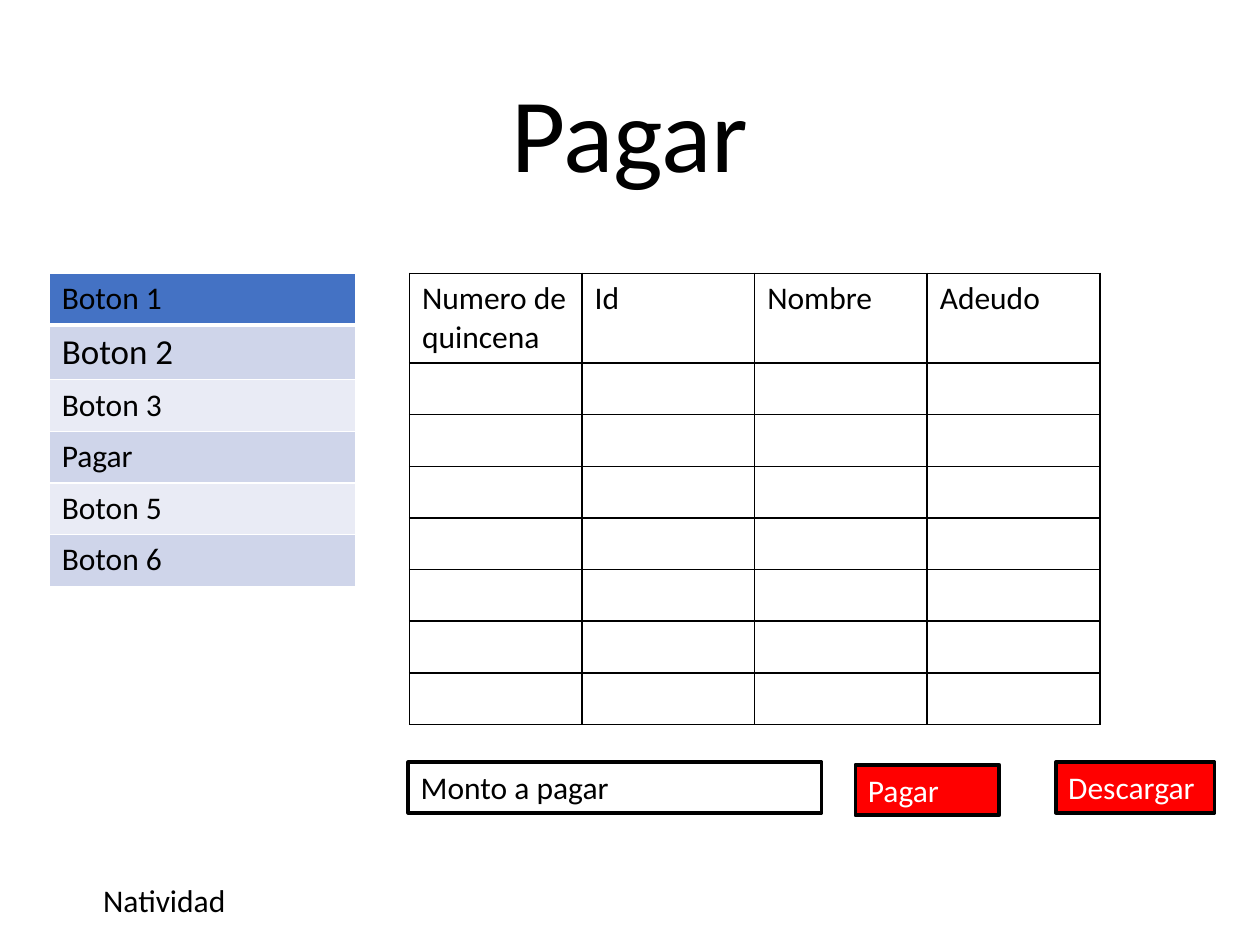
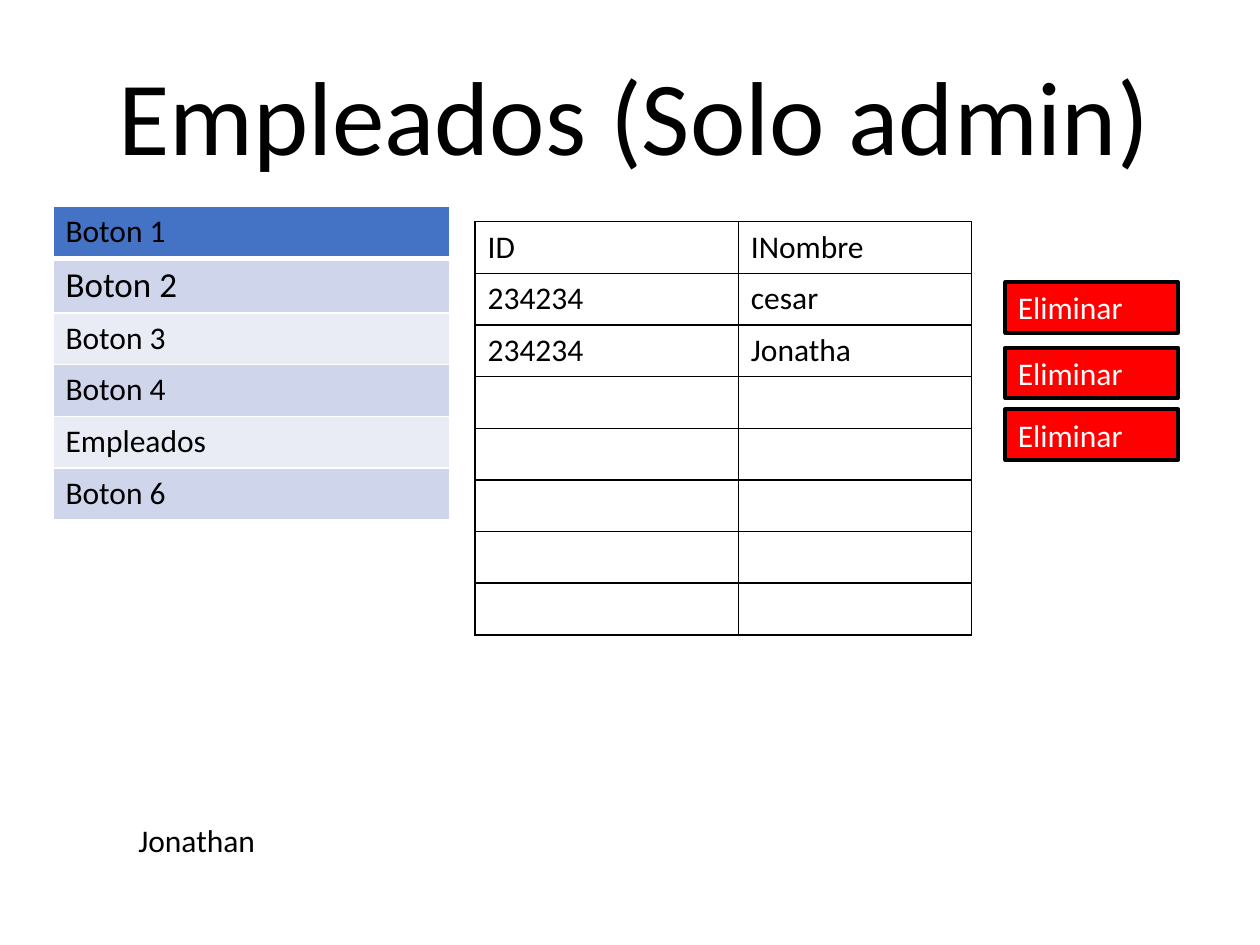
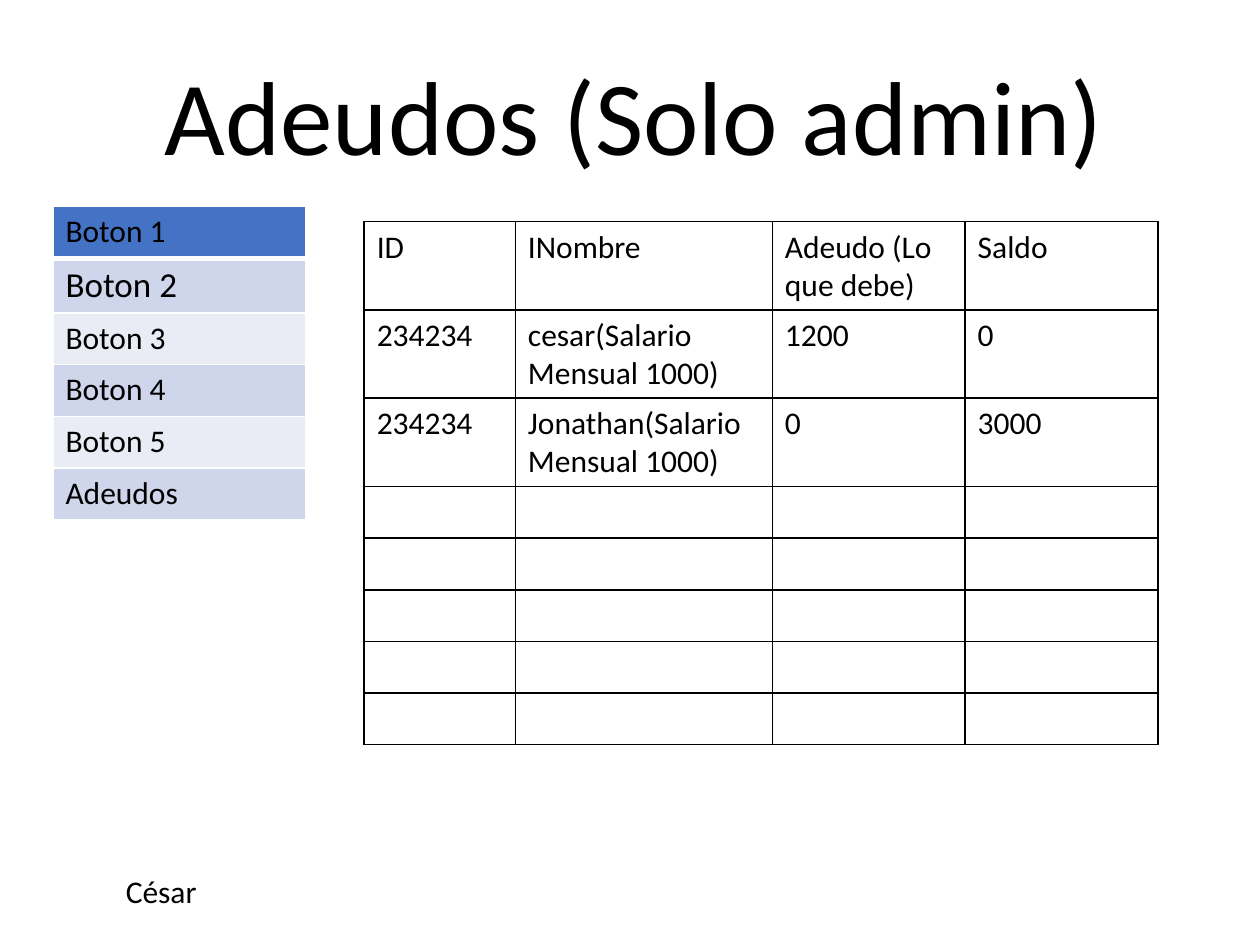
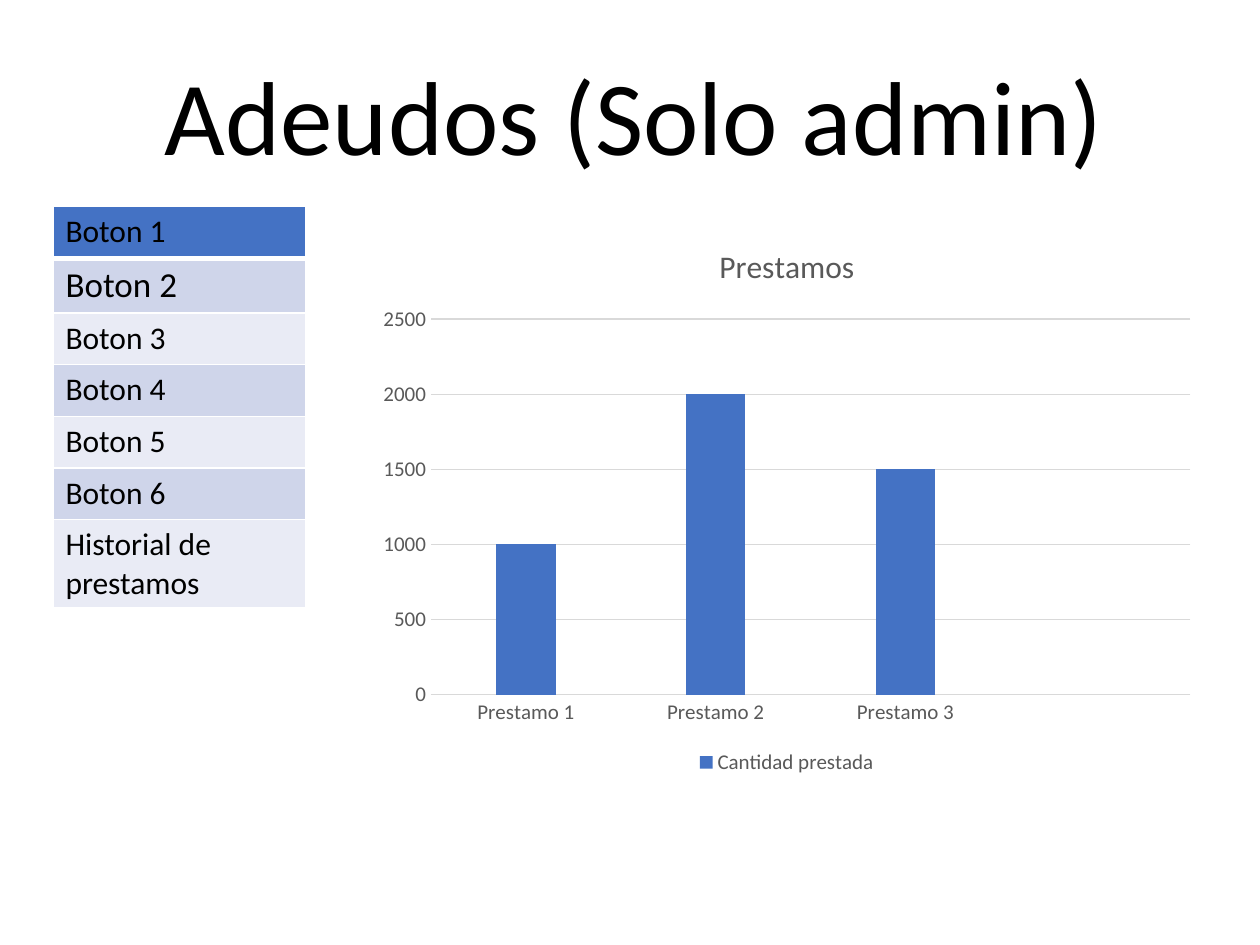
from dataclasses import dataclass

from lxml import etree
from pptx import Presentation
from pptx.chart.data import CategoryChartData
from pptx.dml.color import RGBColor
from pptx.enum import chart as ch, shapes, text
from pptx.oxml.ns import qn
from pptx.util import Inches, Pt

# Shared style
FONT = "Calibri"
BLACK = RGBColor(0, 0, 0)
WHITE = RGBColor(255, 255, 255)
RED = RGBColor(255, 0, 0)
BLUE = RGBColor(0x44, 0x72, 0xC4)
BANDS = (RGBColor(0xE9, 0xEB, 0xF5), RGBColor(0xCF, 0xD5, 0xEA))
GREY = RGBColor(0x59, 0x59, 0x59)
PALE = RGBColor(0xD9, 0xD9, 0xD9)
ROW = 0.41
BOX = 0.4


@dataclass
class Area:
    x: float
    y: float
    w: float
    h: float = BOX

    def emu(self) -> tuple:
        return tuple(Inches(v) for v in (self.x, self.y, self.w, self.h))


@dataclass
class Button:
    label: str
    area: Area
    fill: RGBColor | None = RED
    ink: RGBColor = WHITE


@dataclass
class Grid:
    x: float
    y: float
    cols: list[float]
    rows: list[list[str]]


HEAD = Area(0.72, 0.4, 8.62, 1.06)


def style(font, size: float, color: RGBColor) -> None:
    font.name, font.size = FONT, Pt(size)
    font.color.rgb = color


def write(frame, words: str, size: float = 18, color: RGBColor = BLACK) -> None:
    frame.text = words
    for part in frame.paragraphs:
        for run in part.runs:
            style(run.font, size, color)


def edge(cell, side: str, color: RGBColor, width: float) -> None:
    line = etree.SubElement(cell._tc.get_or_add_tcPr(), qn(f"a:ln{side}"),
                            w=str(Pt(width)))
    fill = etree.SubElement(line, qn("a:solidFill"))
    etree.SubElement(fill, qn("a:srgbClr"), val=str(color))


def add_title(slide, words: str, area: Area = HEAD) -> None:
    frame = slide.shapes.add_textbox(*area.emu()).text_frame
    frame.word_wrap = True
    frame.vertical_anchor = text.MSO_ANCHOR.BOTTOM
    write(frame, words, 60)
    frame.paragraphs[0].alignment = text.PP_ALIGN.CENTER
    frame.paragraphs[0].line_spacing = 0.9


def add_label(slide, words: str, area: Area) -> None:
    frame = slide.shapes.add_textbox(*area.emu()).text_frame
    frame.word_wrap = False
    frame.auto_size = text.MSO_AUTO_SIZE.SHAPE_TO_FIT_TEXT
    write(frame, words)


def add_button(slide, item: Button) -> None:
    box = slide.shapes.add_shape(shapes.MSO_SHAPE.RECTANGLE, *item.area.emu())
    box.shadow.inherit = False
    if item.fill is None:
        box.fill.background()
    else:
        box.fill.solid()
        box.fill.fore_color.rgb = item.fill
    box.line.color.rgb, box.line.width = BLACK, Pt(2.25)
    frame = box.text_frame
    frame.word_wrap = True
    frame.vertical_anchor = text.MSO_ANCHOR.TOP
    frame.auto_size = text.MSO_AUTO_SIZE.SHAPE_TO_FIT_TEXT
    write(frame, item.label, color=item.ink)
    frame.paragraphs[0].alignment = text.PP_ALIGN.LEFT


def new_table(slide, grid: Grid):
    count = len(grid.rows)
    area = Area(grid.x, grid.y, sum(grid.cols), ROW * count)
    table = slide.shapes.add_table(count, len(grid.cols), *area.emu()).table
    table.first_row = table.horz_banding = False
    for col, width in zip(table.columns, grid.cols):
        col.width = Inches(width)
    for row in table.rows:
        row.height = Inches(ROW)
    return table


def add_grid(slide, grid: Grid) -> None:
    table = new_table(slide, grid)
    for r, row in enumerate(grid.rows):
        for c, words in enumerate(row):
            cell = table.cell(r, c)
            for side in "LRTB":
                edge(cell, side, BLACK, 1)
            cell.fill.background()
            write(cell.text_frame, words)


def add_menu(slide, x: float, y: float, width: float, names: list[str]) -> None:
    table = new_table(slide, Grid(x, y, [width], [[name] for name in names]))
    for r, name in enumerate(names):
        cell = table.cell(r, 0)
        for side in "LRTB":
            thick = (r, side) in ((0, "B"), (1, "T"))
            edge(cell, side, WHITE, 3 if thick else 1)
        cell.fill.solid()
        cell.fill.fore_color.rgb = BANDS[r % 2] if r else BLUE
        write(cell.text_frame, name, 20 if r == 1 else 18)


def menu(swap: dict[int, str]) -> list[str]:
    """Button names, with the named page in its own place."""
    last = max(6, *swap)
    return [swap.get(n, f"Boton {n}") for n in range(1, last + 1)]


def blank(cols: int, count: int) -> list[list[str]]:
    return [[""] * cols for _ in range(count)]


def add_loans(slide, area: Area) -> None:
    data = CategoryChartData()
    data.categories = ["Prestamo 1", "Prestamo 2", "Prestamo 3", ""]
    data.add_series("Cantidad prestada", [1000, 2000, 1500, None])
    chart = slide.shapes.add_chart(
        ch.XL_CHART_TYPE.COLUMN_CLUSTERED, *area.emu(), data).chart
    style(chart.font, 10, BLACK)
    chart.has_title = True
    write(chart.chart_title.text_frame, "Prestamos", 18, GREY)
    chart.chart_title.text_frame.paragraphs[0].runs[0].font.bold = False
    chart.chart_title.include_in_layout = False
    chart.has_legend = True
    chart.legend.position = ch.XL_LEGEND_POSITION.BOTTOM
    chart.legend.include_in_layout = False
    style(chart.legend.font, 12, GREY)

    # Bars
    plot = chart.plots[0]
    plot.vary_by_categories = False
    plot.gap_width, plot.overlap = 219, -27
    bars = plot.series[0].format.fill
    bars.solid()
    bars.fore_color.rgb = BLUE

    # Axes
    cat, val = chart.category_axis, chart.value_axis
    for axis in (cat, val):
        axis.major_tick_mark = axis.minor_tick_mark = ch.XL_TICK_MARK.NONE
        style(axis.tick_labels.font, 12, GREY)
    val.minimum_scale, val.maximum_scale, val.major_unit = 0, 2500, 500
    val.format.line.fill.background()
    val.has_major_gridlines = True
    for line in (cat.format.line, val.major_gridlines.format.line):
        line.color.rgb, line.width = PALE, Pt(0.75)


deck = Presentation()
deck.slide_width, deck.slide_height = Inches(10), Inches(7.5)
pay, staff, debts, loans = (
    deck.slides.add_slide(deck.slide_layouts[6]) for _ in range(4))

# Payments
add_grid(pay, Grid(3.25, 2.17, [1.37] * 4, [
    ["Numero de quincena", "Id", "Nombre", "Adeudo"], *blank(4, 7)]))
for item in (
    Button("Monto a pagar", Area(3.24, 6.05, 3.28), None, BLACK),
    Button("Pagar", Area(6.79, 6.07, 1.14)),
    Button("Descargar", Area(8.38, 6.05, 1.26)),
):
    add_button(pay, item)
add_menu(pay, 0.39, 2.17, 2.43, menu({4: "Pagar"}))
add_title(pay, "Pagar", Area(0.69, 0.15, 8.62, 1.45))
add_label(pay, "Natividad", Area(0.72, 6.94, 1.18))

# Employees
add_grid(staff, Grid(3.77, 1.76, [2.09, 1.85], [
    ["ID", "INombre"], ["234234", "cesar"], ["234234", "Jonatha"],
    *blank(2, 5)]))
add_menu(staff, 0.42, 1.64, 3.15, menu({5: "Empleados"}))
add_title(staff, "Empleados (Solo admin)")
for top in (2.24, 2.76, 3.25):
    add_button(staff, Button("Eliminar", Area(7.98, top, 1.37)))
add_label(staff, "Jonathan", Area(1, 6.47, 1.14))

# Debts
add_grid(debts, Grid(2.89, 1.76, [1.2, 2.04, 1.53, 1.53], [
    ["ID", "INombre", "Adeudo (Lo que debe)", "Saldo"],
    ["234234", "cesar(Salario Mensual 1000)", "1200", "0"],
    ["234234", "Jonathan(Salario Mensual 1000)", "0", "3000"],
    *blank(4, 5)]))
add_menu(debts, 0.42, 1.64, 2.01, menu({6: "Adeudos"}))
add_title(debts, "Adeudos (Solo admin)")
add_label(debts, "César", Area(0.9, 6.87, 0.77))

# Loan history
add_menu(loans, 0.42, 1.64, 2.01, menu({7: "Historial de prestamos"}))
add_title(loans, "Adeudos (Solo admin)")
add_loans(loans, Area(2.91, 1.75, 6.67, 4.44))

deck.save("out.pptx")
